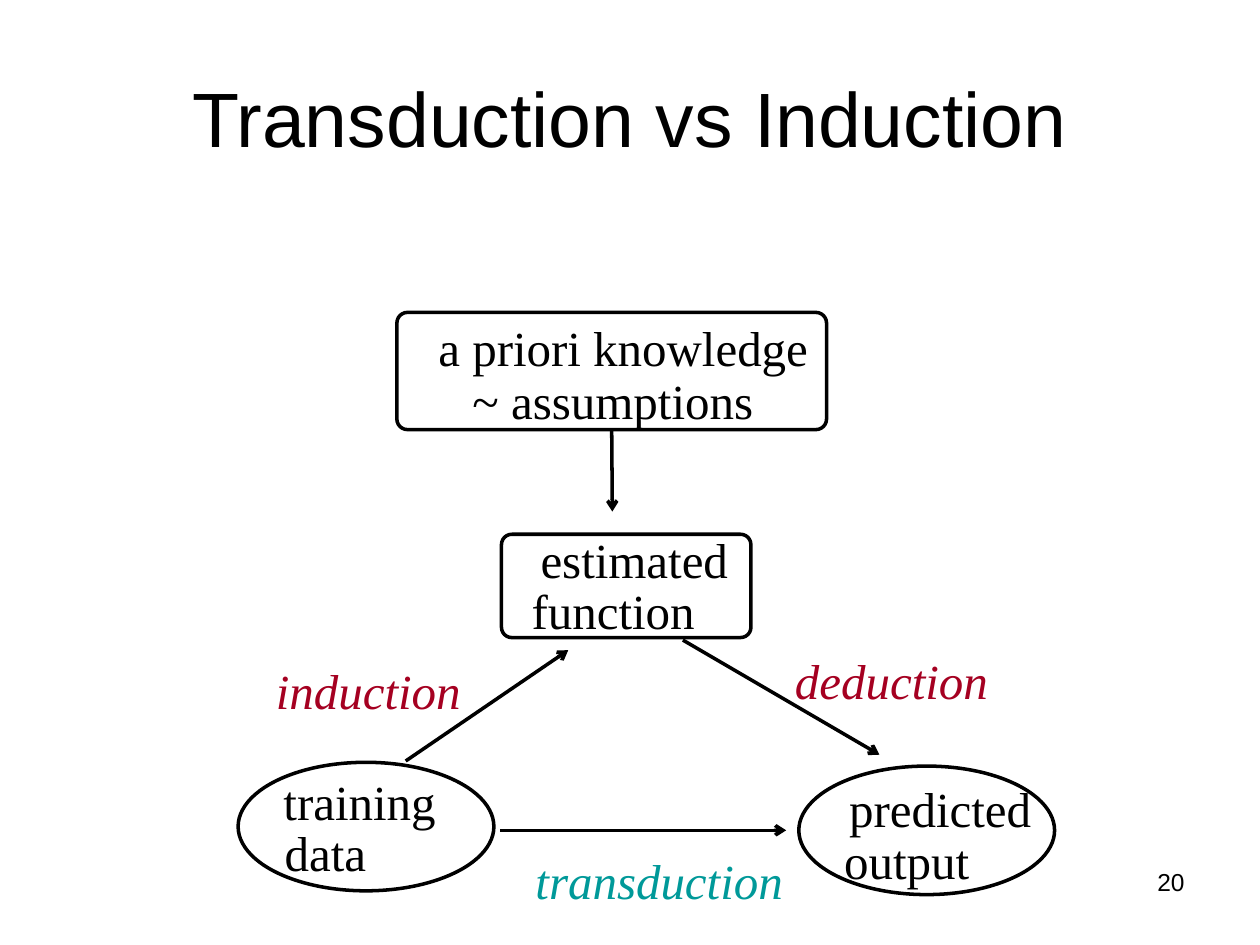
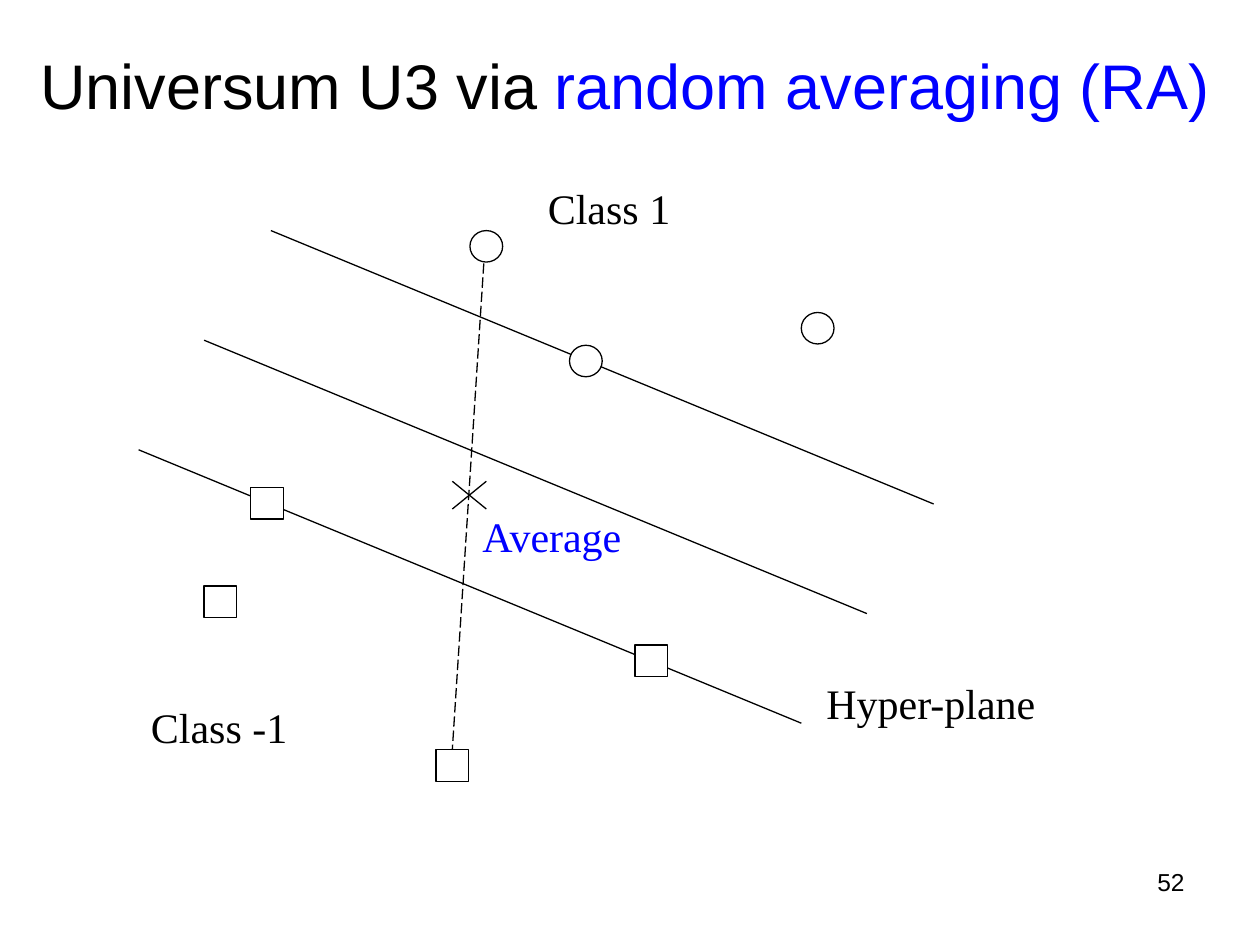
from lxml import etree
from pptx import Presentation
from pptx.dml.color import RGBColor
from pptx.enum.dml import MSO_LINE
from pptx.enum.shapes import MSO_CONNECTOR, MSO_SHAPE
from pptx.enum.text import MSO_ANCHOR, PP_ALIGN
from pptx.oxml.ns import qn
from pptx.util import Inches, Pt

BLACK = RGBColor(0x00, 0x00, 0x00)
WHITE = RGBColor(0xFF, 0xFF, 0xFF)
BLUE = RGBColor(0x00, 0x00, 0xFF)
RED = RGBColor(0xA5, 0x00, 0x21)
TEAL = RGBColor(0x00, 0x99, 0x99)
SANS, SERIF = "Arial", "Times New Roman"
ROUND, OVAL, RECT = MSO_SHAPE.ROUNDED_RECTANGLE, MSO_SHAPE.OVAL, MSO_SHAPE.RECTANGLE
STRAIGHT, DASH = MSO_CONNECTOR.STRAIGHT, MSO_LINE.LONG_DASH
MIDDLE, CENTER, RIGHT = MSO_ANCHOR.MIDDLE, PP_ALIGN.CENTER, PP_ALIGN.RIGHT
BOTTOM, TOP = 2, 0


def add_text(slide, text, box, size, color=BLACK, font=SERIF, inset=True):
    """Add a one-paragraph text box and return its paragraph."""
    frame = slide.shapes.add_textbox(*map(Inches, box)).text_frame
    frame.word_wrap = True
    if not inset:
        frame.margin_left = frame.margin_right = 0
        frame.margin_top = frame.margin_bottom = 0
    para = frame.paragraphs[0]
    para.text = text
    para.font.name = font
    para.font.size = Pt(size)
    para.font.color.rgb = color
    return para


def add_line(slide, ends, width, arrow=False):
    """Add a black line through ends (x1, y1, x2, y2)."""
    link = slide.shapes.add_connector(STRAIGHT, *map(Inches, ends))
    link.line.color.rgb = BLACK
    link.line.width = Pt(width)
    if arrow:
        stroke = link.line._get_or_add_ln()
        etree.SubElement(stroke, qn("a:tailEnd"), type="arrow")
    etree.SubElement(link._element.spPr, qn("a:effectLst"))
    return link


deck = Presentation()
deck.slide_width = Inches(10)
deck.slide_height = Inches(7.5)

# Titles and page numbers
pages = [
    ("20", (0.5, 0.3, 9, 1.25), 44, [("Transduction vs Induction", BLACK)]),
    ("52", (0.17, 0.17, 9.58, 1), 36,
     [("Universum U3 via ", BLACK), ("random averaging (RA)", BLUE)]),
]
slides = []
for number, box, size, parts in pages:
    slide = deck.slides.add_slide(deck.slide_layouts[5])
    title = slide.shapes.title
    title.left, title.top, title.width, title.height = map(Inches, box)
    title.text_frame.vertical_anchor = MIDDLE
    para = title.text_frame.paragraphs[0]
    para.alignment = CENTER
    para.font.name = SANS
    para.font.size = Pt(size)
    for text, color in parts:
        run = para.add_run()
        run.text = text
        run.font.color.rgb = color
    add_text(slide, number, (7.17, 6.83, 2.33, 0.52), 14, font=SANS).alignment = RIGHT
    slides.append(slide)
flow, plot = slides

# Slide 1: the triangle of inference
nodes = []
for kind, box, corner in [
    (ROUND, (3.15, 2.48, 3.41, 0.93), 0.09),
    (ROUND, (3.98, 4.24, 1.98, 0.82), 0.1),
    (OVAL, (6.34, 6.08, 2.03, 1.02), None),
    (OVAL, (1.89, 6.05, 2.03, 1.02), None),
]:
    node = flow.shapes.add_shape(kind, *map(Inches, box))
    node.shadow.inherit = False
    node.fill.background()
    node.line.color.rgb = BLACK
    node.line.width = Pt(2)
    if corner:
        node.adjustments[0] = corner
    nodes.append(node)

arrows = [
    add_line(flow, ends, 2, arrow=True)
    for ends in [
        (4.86, 3.41, 4.86, 4.06),
        (3.22, 6.04, 4.51, 5.16),
        (5.42, 5.08, 6.98, 5.99),
        (3.97, 6.59, 6.24, 6.59),
    ]
]
arrows[0].begin_connect(nodes[0], BOTTOM)

for text, left, top, width in [
    ("a priori knowledge", 3.48, 2.52, 3.03),
    ("~ assumptions", 3.75, 2.94, 2.5),
    ("estimated", 4.29, 4.2, 1.59),
    ("function", 4.22, 4.61, 1.4),
    ("training", 2.25, 6.12, 1.4),
    ("data", 2.26, 6.53, 0.8),
    ("predicted", 6.74, 6.18, 1.54),
    ("output", 6.7, 6.59, 1.1),
]:
    add_text(flow, text, (left, top, width, 0.47), 28, inset=False)

for text, left, top, width, color in [
    ("induction", 2.19, 5.24, 1.6, RED),
    ("deduction", 6.31, 5.16, 1.6, RED),
    ("transduction", 4.25, 6.75, 2.1, TEAL),
]:
    para = add_text(flow, text, (left, top, width, 0.47), 28, color, inset=False)
    para.font.italic = True

# Slide 2: parallel planes, samples of both classes and their average
for left, top in [(1.62, 2.7), (2.15, 1.83), (1.1, 3.57)]:
    add_line(plot, (left, top, left + 5.26, top + 2.17), 0.75)

marks = []
for kind, left, top in [
    (OVAL, 3.73, 1.83), (OVAL, 4.52, 2.74), (OVAL, 6.36, 2.48),
    (RECT, 1.62, 4.65), (RECT, 5.04, 5.12), (RECT, 1.99, 3.87),
    (RECT, 3.46, 5.95),
]:
    mark = plot.shapes.add_shape(kind, *map(Inches, (left, top, 0.26, 0.25)))
    mark.shadow.inherit = False
    mark.fill.solid()
    mark.fill.fore_color.rgb = WHITE
    mark.line.color.rgb = BLACK
    mark.line.width = Pt(0.75)
    marks.append(mark)

pair = add_line(plot, (3.84, 2.09, 3.59, 5.95), 0.75)
pair.line.dash_style = DASH
pair.end_connect(marks[-1], TOP)
for start, end in [(4.04, 3.82), (3.82, 4.04)]:
    add_line(plot, (3.59, start, 3.86, end), 0.75)

for text, left, top, width, color in [
    ("Average", 3.73, 4, 1.84, BLUE),
    ("Class 1", 4.25, 1.4, 1.84, BLACK),
    ("Class -1", 1.1, 5.52, 1.84, BLACK),
    ("Hyper-plane", 6.46, 5.33, 2.37, BLACK),
]:
    add_text(plot, text, (left, top, width, 0.87), 24, color)

deck.save("out.pptx")
